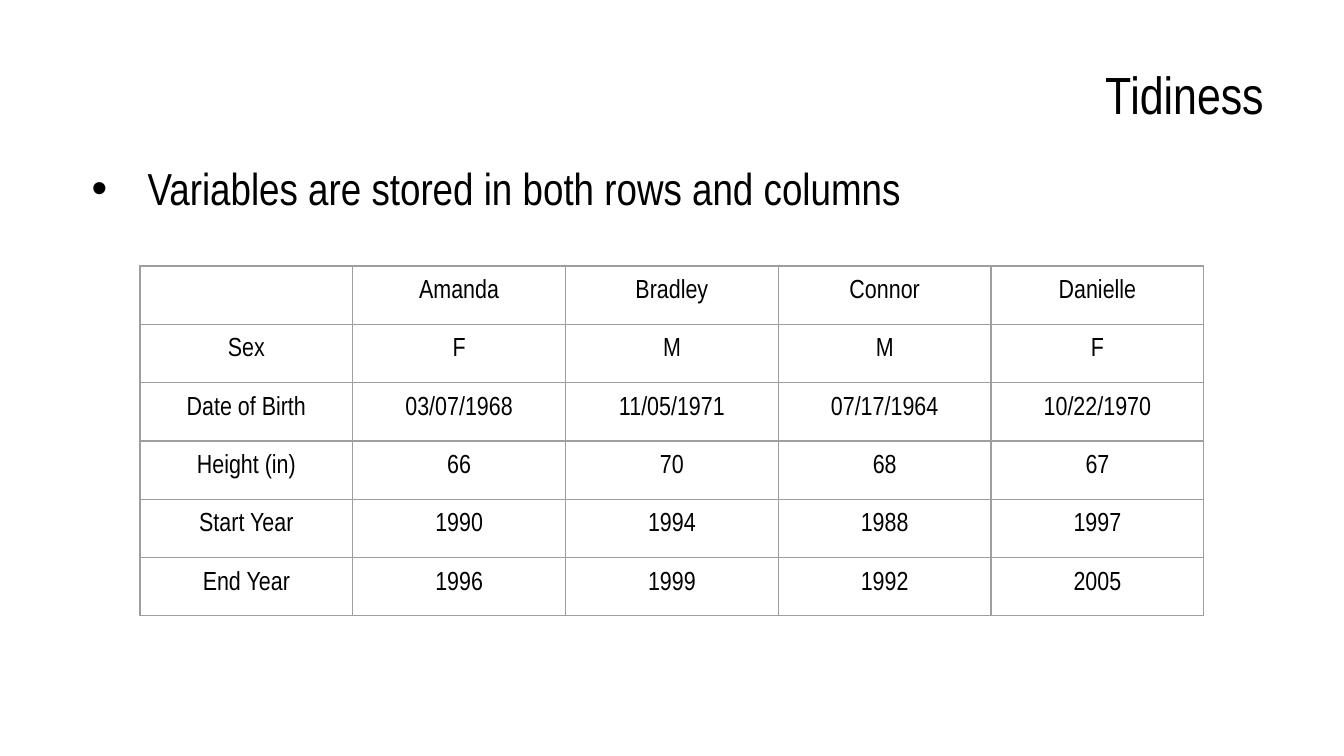
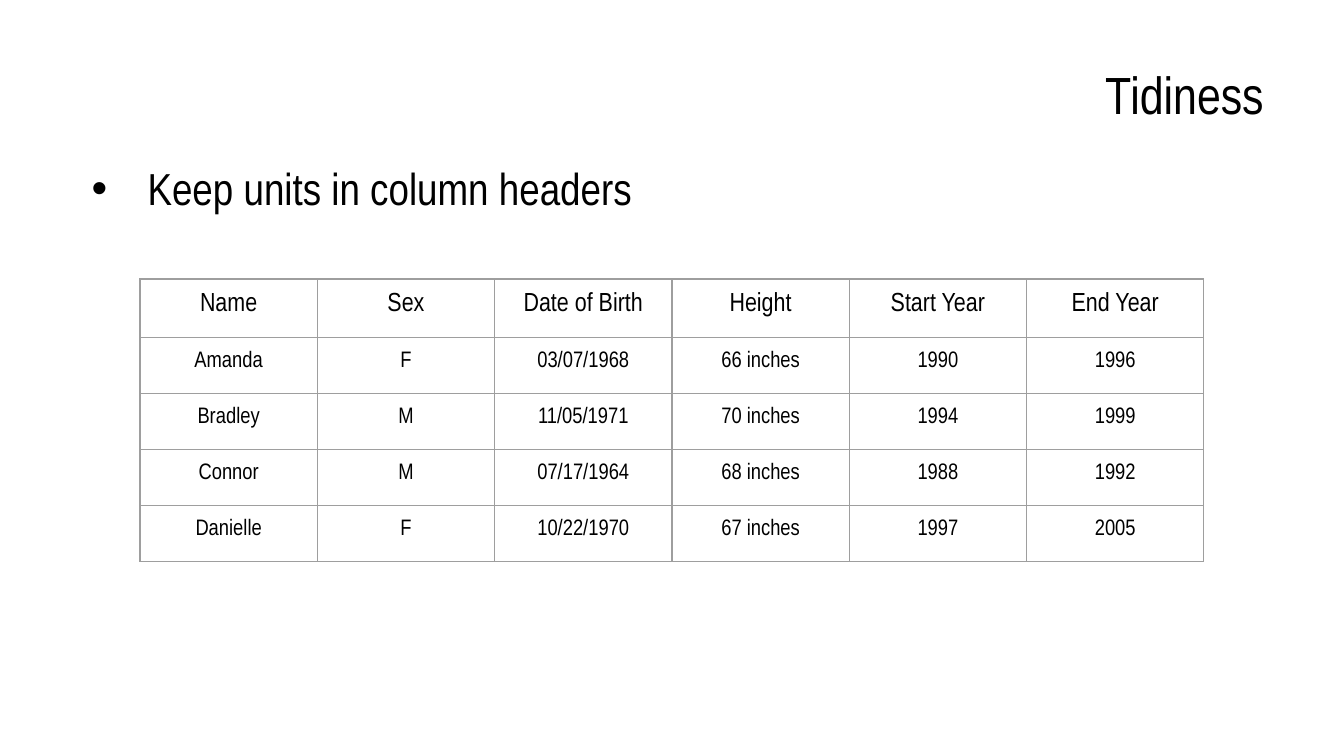
from dataclasses import dataclass

from lxml.etree import SubElement
from pptx import Presentation
from pptx.dml.color import RGBColor as RGB
from pptx.enum.text import MSO_ANCHOR as ANCHOR, PP_ALIGN as ALIGN
from pptx.oxml.ns import qn
from pptx.util import Pt


@dataclass(frozen=True)
class Theme:
    font: str = "Arial Narrow"
    text: RGB = RGB(0, 0, 0)
    border: RGB = RGB(0x9E, 0x9E, 0x9E)
    border_width: float = 0.75
    title: int = 28
    bullet: int = 24
    cell: int = 14
    cell_small: int = 12
    inset: float = 7.2


THEME = Theme()
FIELDS = ["Sex", "Date of Birth", "Height", "Start Year", "End Year"]
PEOPLE = [
    ["Amanda", "F", "03/07/1968", "66", "1990", "1996"],
    ["Bradley", "M", "11/05/1971", "70", "1994", "1999"],
    ["Connor", "M", "07/17/1964", "68", "1988", "1992"],
    ["Danielle", "F", "10/22/1970", "67", "1997", "2005"],
]
HEIGHT = 3
TABLE_LEFT, TABLE_WIDTH, ROW_HEIGHT = 75, 570, 30


def style_runs(p, size):
    for r in p.runs:
        r.font.name = THEME.font
        r.font.size = Pt(size)
        r.font.color.rgb = THEME.text


def set_insets(box):
    box.margin_left = box.margin_right = Pt(THEME.inset)
    box.margin_top = box.margin_bottom = Pt(THEME.inset)


def add_text(s, top, height, text, size):
    tf = s.shapes.add_textbox(Pt(36), Pt(top), Pt(648), Pt(height)).text_frame
    tf.word_wrap = True
    set_insets(tf)
    tf.text = text
    p = tf.paragraphs[0]
    style_runs(p, size)
    return tf, p


def add_title(s, text):
    tf, p = add_text(s, 16.5, 67.5, text, THEME.title)
    tf.vertical_anchor = ANCHOR.MIDDLE
    p.alignment = ALIGN.RIGHT


def add_bullet(s, text):
    p = add_text(s, 79, 267, text, THEME.bullet)[1]
    p.space_after = Pt(10)
    pPr = p._p.get_or_add_pPr()
    pPr.set("marL", str(Pt(36)))
    pPr.set("indent", str(Pt(-30)))
    color = SubElement(pPr, qn("a:buClr"))
    SubElement(color, qn("a:srgbClr"), val=str(THEME.text))
    SubElement(pPr, qn("a:buFont"), typeface="Arial")
    SubElement(pPr, qn("a:buChar"), char="•")


def add_borders(cell):
    tcPr = cell._tc.get_or_add_tcPr()
    for side in ("lnL", "lnR", "lnT", "lnB"):
        ln = SubElement(tcPr, qn(f"a:{side}"), w=str(Pt(THEME.border_width)))
        fill = SubElement(ln, qn("a:solidFill"))
        SubElement(fill, qn("a:srgbClr"), val=str(THEME.border))


def fill_cell(cell, text, size):
    set_insets(cell)
    add_borders(cell)
    cell.fill.background()
    cell.text = text
    p = cell.text_frame.paragraphs[0]
    p.alignment = ALIGN.CENTER
    style_runs(p, size)
    if not text:
        p._p.get_or_add_endParaRPr().set("sz", str(size * 100))


def add_grid(s, top, rows, body_size):
    n_rows, n_cols = len(rows), len(rows[0])
    table = s.shapes.add_table(n_rows, n_cols, Pt(TABLE_LEFT), Pt(top),
                               Pt(TABLE_WIDTH), Pt(ROW_HEIGHT * n_rows)).table
    table.first_row = table.horz_banding = False
    for i, row in enumerate(rows):
        table.rows[i].height = Pt(ROW_HEIGHT)
        for j, text in enumerate(row):
            fill_cell(table.cell(i, j), text, body_size if i else THEME.cell)


def add_tidiness_slide(prs, bullet, top, rows, body_size):
    s = prs.slides.add_slide(prs.slide_layouts[6])
    add_title(s, "Tidiness")
    add_bullet(s, bullet)
    add_grid(s, top, rows, body_size)


def people_as_columns():
    labels = ["", *FIELDS]
    labels[HEIGHT] += " (in)"
    return list(zip(labels, *PEOPLE))


def people_as_rows():
    rows = [["Name", *FIELDS]]
    for person in PEOPLE:
        row = list(person)
        row[HEIGHT] += " inches"
        rows.append(row)
    return rows


def main():
    prs = Presentation()
    prs.slide_width, prs.slide_height = Pt(720), Pt(405)
    add_tidiness_slide(prs, "Variables are stored in both rows and columns",
                       142.5, people_as_columns(), THEME.cell)
    add_tidiness_slide(prs, "Keep units in column headers",
                       149.5, people_as_rows(), THEME.cell_small)
    prs.save("out.pptx")


if __name__ == "__main__":
    main()
